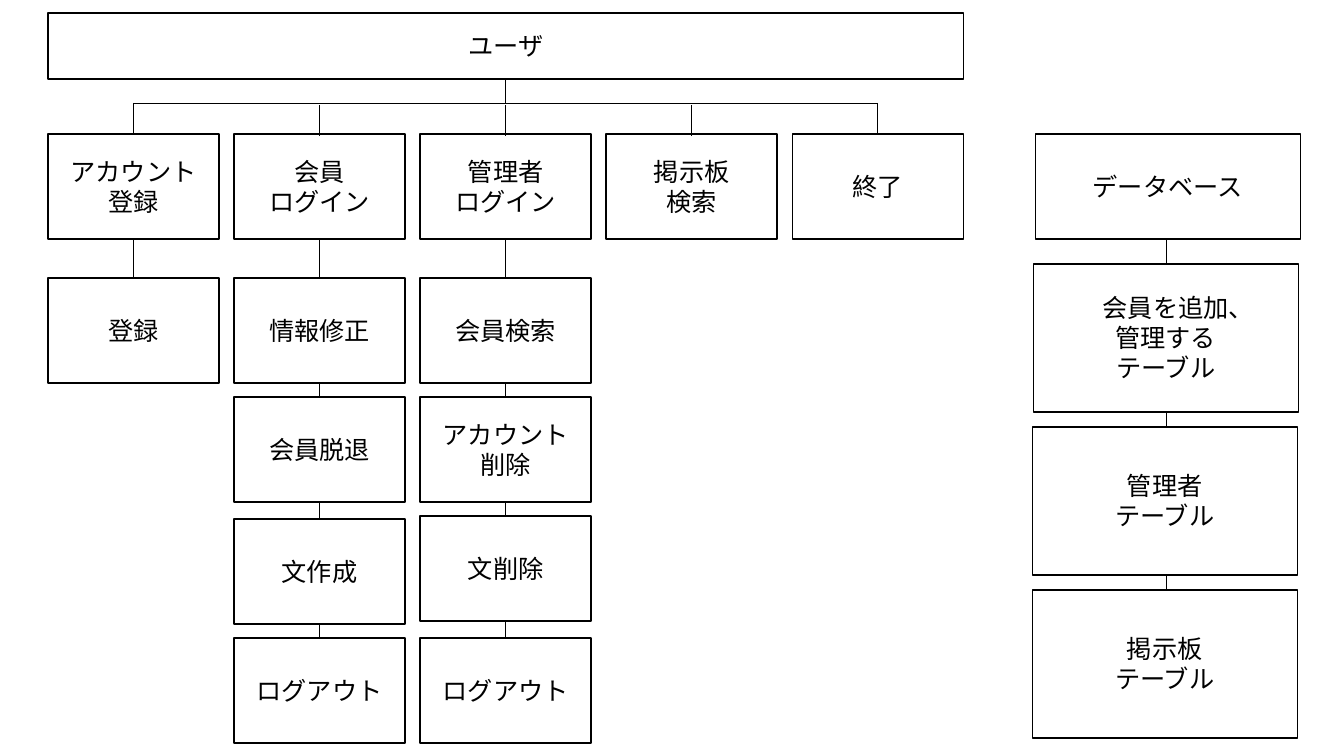
from lxml.etree import SubElement
from pptx import Presentation
from pptx.dml.color import RGBColor
from pptx.enum.shapes import MSO_CONNECTOR, MSO_SHAPE
from pptx.enum.text import MSO_ANCHOR, PP_ALIGN
from pptx.oxml.ns import qn
from pptx.util import Inches, Pt

BLACK = RGBColor(0, 0, 0)
WHITE = RGBColor(255, 255, 255)
PIXEL = Inches(1) / 100.8


def px(length):
    return round(length * PIXEL)


class Chart:
    """Style of the organisation chart and the slide it is drawn on."""
    font_name = "Noto Sans CJK KR"
    font_size = Pt(18)
    line_spacing = Pt(21.4)
    border = Pt(1)
    link = Pt(0.5)

    def __init__(self, slide):
        self.slide = slide

    def line(self, x1, y1, x2, y2):
        connector = self.slide.shapes.add_connector(
            MSO_CONNECTOR.STRAIGHT, px(x1), px(y1), px(x2), px(y2))
        connector.line.color.rgb = BLACK
        connector.line.width = self.link
        SubElement(connector._element.spPr, qn("a:effectLst"))

    def box(self, left, top, width, height, text):
        shape = self.slide.shapes.add_shape(
            MSO_SHAPE.RECTANGLE, px(left), px(top), px(width), px(height))
        shape.shadow.inherit = False
        shape.fill.solid()
        shape.fill.fore_color.rgb = WHITE
        shape.line.color.rgb = BLACK
        shape.line.width = self.border
        text_frame = shape.text_frame
        text_frame.word_wrap = True
        text_frame.vertical_anchor = MSO_ANCHOR.MIDDLE
        text_frame.text = text
        for paragraph in text_frame.paragraphs:
            paragraph.alignment = PP_ALIGN.CENTER
            paragraph.line_spacing = self.line_spacing
            for run in paragraph.runs:
                self.format_run(run)

    def format_run(self, run):
        run.font.name = self.font_name
        run.font.size = self.font_size
        run.font.color.rgb = BLACK
        # East Asian text takes its typeface from a:ea
        SubElement(run._r.get_or_add_rPr(), qn("a:ea"), typeface=self.font_name)


presentation = Presentation()
presentation.slide_width = Inches(13.33)
presentation.slide_height = Inches(7.5)
slide = presentation.slides.add_slide(presentation.slide_layouts[6])
chart = Chart(slide)

# Menu grid
LEFT, STEP, WIDTH, HEIGHT = 48, 186, 171, 105
MENU_TOP, BUS = 134, 103
USER_TOP, USER_HEIGHT = 13, 66
ROWS = (278, 397, 516, 638)
MENUS = [
    ("アカウント\v登録", ["登録"]),
    ("会員\nログイン", ["情報修正", "会員脱退", "文作成", "ログアウト"]),
    ("管理者\nログイン", ["会員検索", "アカウント\n削除", "文削除", "ログアウト"]),
    ("掲示板\n検索", []),
    ("終了", []),
]
ROW_SHIFT = {"文作成": 3}
lefts = [LEFT + STEP * column for column in range(len(MENUS))]
centers = [left + WIDTH / 2 for left in lefts]

# User and its menus, each column on one line behind its boxes
chart.box(LEFT, USER_TOP, lefts[-1] + WIDTH - LEFT, USER_HEIGHT, "ユーザ")
for left, center, (menu, actions) in zip(lefts, centers, MENUS):
    if actions:
        chart.line(center, MENU_TOP, center, ROWS[len(actions) - 1] + HEIGHT / 2)
    chart.box(left, MENU_TOP, WIDTH, HEIGHT, menu)
    for top, action in zip(ROWS, actions):
        chart.box(left, top + ROW_SHIFT.get(action, 0), WIDTH, HEIGHT, action)

# Branches from the user to the menus
chart.line(centers[2], USER_TOP + USER_HEIGHT, centers[2], BUS)
chart.line(centers[0], BUS, centers[-1], BUS)
for center in centers:
    inner = 2 if center in centers[1:-1] else 0
    chart.line(center, BUS + inner, center, MENU_TOP + inner)

# Database and its tables
TABLE_WIDTH, TABLE_HEIGHT = 265, 148
TABLES = [
    (1033, 264, "　会員を追加、\n管理する\nテーブル"),
    (1032, 427, "管理者\nテーブル"),
    (1032, 590, "掲示板\nテーブル"),
]
chart.line(1166, 187, 1166, 738)
chart.box(1035, MENU_TOP, TABLE_WIDTH, HEIGHT, "データベース")
for left, top, text in TABLES:
    chart.box(left, top, TABLE_WIDTH, TABLE_HEIGHT, text)

presentation.save("out.pptx")
